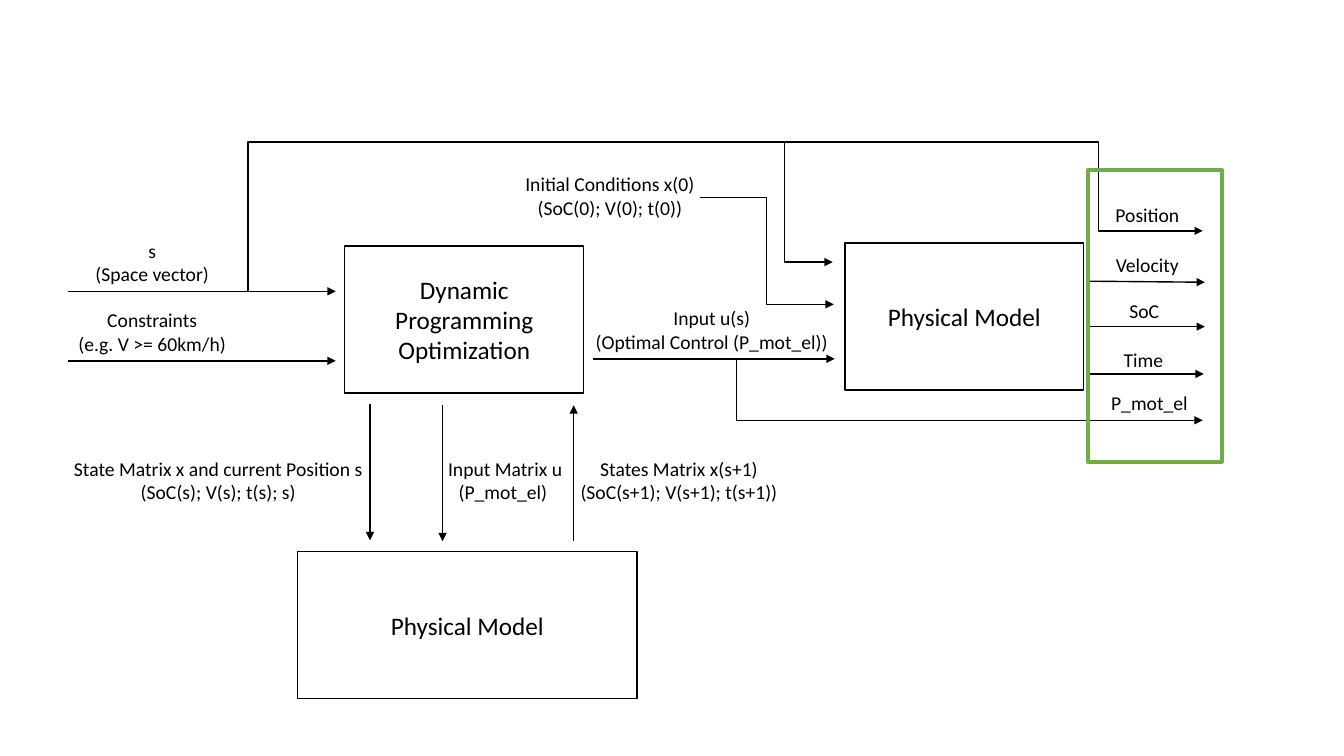
from lxml import etree
from pptx import Presentation
from pptx.dml.color import RGBColor
from pptx.enum.shapes import MSO_CONNECTOR, MSO_SHAPE
from pptx.enum.text import MSO_ANCHOR, MSO_AUTO_SIZE, PP_ALIGN
from pptx.oxml.ns import qn
from pptx.util import Emu, Pt

STRAIGHT, ELBOW = MSO_CONNECTOR.STRAIGHT, MSO_CONNECTOR.ELBOW
RECTANGLE = MSO_SHAPE.RECTANGLE
MIDDLE = MSO_ANCHOR.MIDDLE
GROW = MSO_AUTO_SIZE.SHAPE_TO_FIT_TEXT
CENTER = PP_ALIGN.CENTER

PX = 9144  # 100 px to the inch
FONT = "Calibri"
BLACK, GREEN = "000000", "70AD47"
BLOCK_HEIGHT = 146
LABEL_HEIGHTS = {1: 34, 2: 57}


def px(*lengths):
    return [Emu(length * PX) for length in lengths]


def color(hex_string):
    return RGBColor.from_string(hex_string)


def write(frame, lines, size):
    frame.word_wrap = True
    for number, line in enumerate(lines):
        paragraph = frame.add_paragraph() if number else frame.paragraphs[0]
        paragraph.alignment = CENTER
        run = paragraph.add_run()
        run.text = line
        run.font.name = FONT
        run.font.size = Pt(size)
        run.font.color.rgb = color(BLACK)


def add_frame(slide, left, top, width, height, outline=BLACK, weight=1):
    frame = slide.shapes.add_shape(RECTANGLE, *px(left, top, width, height))
    frame.shadow.inherit = False
    frame.fill.background()
    frame.line.color.rgb = color(outline)
    frame.line.width = Pt(weight)
    return frame


def add_block(slide, left, top, width, caption):
    block = add_frame(slide, left, top, width, BLOCK_HEIGHT)
    block.text_frame.vertical_anchor = MIDDLE
    write(block.text_frame, [caption], 18)


def add_label(slide, left, top, width, *lines):
    height = LABEL_HEIGHTS[len(lines)]
    label = slide.shapes.add_textbox(*px(left, top, width, height))
    write(label.text_frame, lines, 14)
    label.text_frame.auto_size = GROW


def add_flow(slide, start, end, bend=None, arrow=True):
    """Draw a signal line; bend is the share of its width where it turns."""
    kind = STRAIGHT if bend is None else ELBOW
    flow = slide.shapes.add_connector(kind, *px(*start, *end))
    flow.line.color.rgb = color(BLACK)
    flow.line.width = Pt(1)
    properties = flow._element.spPr
    if bend is not None:
        guides = properties.find(qn("a:prstGeom")).get_or_add_avLst()
        etree.SubElement(guides, qn("a:gd"), name="adj1",
                         fmla=f"val {round(bend * 100000)}")
    if arrow:
        etree.SubElement(properties.find(qn("a:ln")), qn("a:tailEnd"),
                         type="triangle")
    etree.SubElement(properties, qn("a:effectLst"))


def main():
    deck = Presentation()
    deck.slide_width, deck.slide_height = px(1333, 750)
    slide = deck.slides.add_slide(deck.slide_layouts[6])

    # Processing blocks
    add_block(slide, 342, 244, 237, "Dynamic Programming Optimization")
    add_block(slide, 295, 547, 337, "Physical Model")
    add_block(slide, 838, 241, 237, "Physical Model")

    # Signal names
    for label in (
        (14, 232, 274, "s", "(Space vector)"),
        (14, 301, 274, "Constraints", "(e.g. V >= 60km/h)"),
        (468, 166, 274, "Initial Conditions x(0)", "(SoC(0); V(0); t(0))"),
        (569, 299, 274, "Input u(s)", "(Optimal Control (P_mot_el))"),
        (59, 448, 315, "State Matrix x and current Position s",
         "(SoC(s); V(s); t(s); s)"),
        (415, 448, 172, "Input Matrix u", "(P_mot_el) "),
        (487, 448, 373, "States Matrix x(s+1)",
         "(SoC(s+1); V(s+1); t(s+1))"),
        (1094, 196, 88, "Position"),
        (1094, 246, 88, "Velocity"),
        (1091, 292, 88, "SoC"),
        (1090, 340, 88, "Time"),
        (1079, 383, 122, "P_mot_el"),
    ):
        add_label(slide, *label)

    # Inputs to the optimization and its control output
    for y in (289, 358):
        add_flow(slide, (67, y), (333, y))
    add_flow(slide, (588, 356), (828, 356))

    # Exchange between the optimization and the lower model
    add_flow(slide, (367, 401), (367, 536))
    add_flow(slide, (439, 402), (439, 537))
    add_flow(slide, (569, 537), (569, 402))

    # Outputs of the right-hand model
    add_flow(slide, (1081, 279), (1195, 280))
    add_flow(slide, (1081, 324), (1195, 324))
    add_flow(slide, (1080, 371), (1194, 371))

    # Routed signals: initial conditions, control, space vector
    add_flow(slide, (694, 196), (827, 302), bend=0.5)
    add_flow(slide, (730, 357), (1193, 417), bend=0.001)
    add_flow(slide, (245, 288), (1089, 141), bend=0.001, arrow=False)
    add_flow(slide, (1052, 141), (1193, 229), bend=0.264)
    add_flow(slide, (778, 141), (826, 260), bend=0)

    # Frame around the outputs
    add_frame(slide, 1079, 169, 133, 289, GREEN, 3)

    deck.save("out.pptx")


if __name__ == "__main__":
    main()
